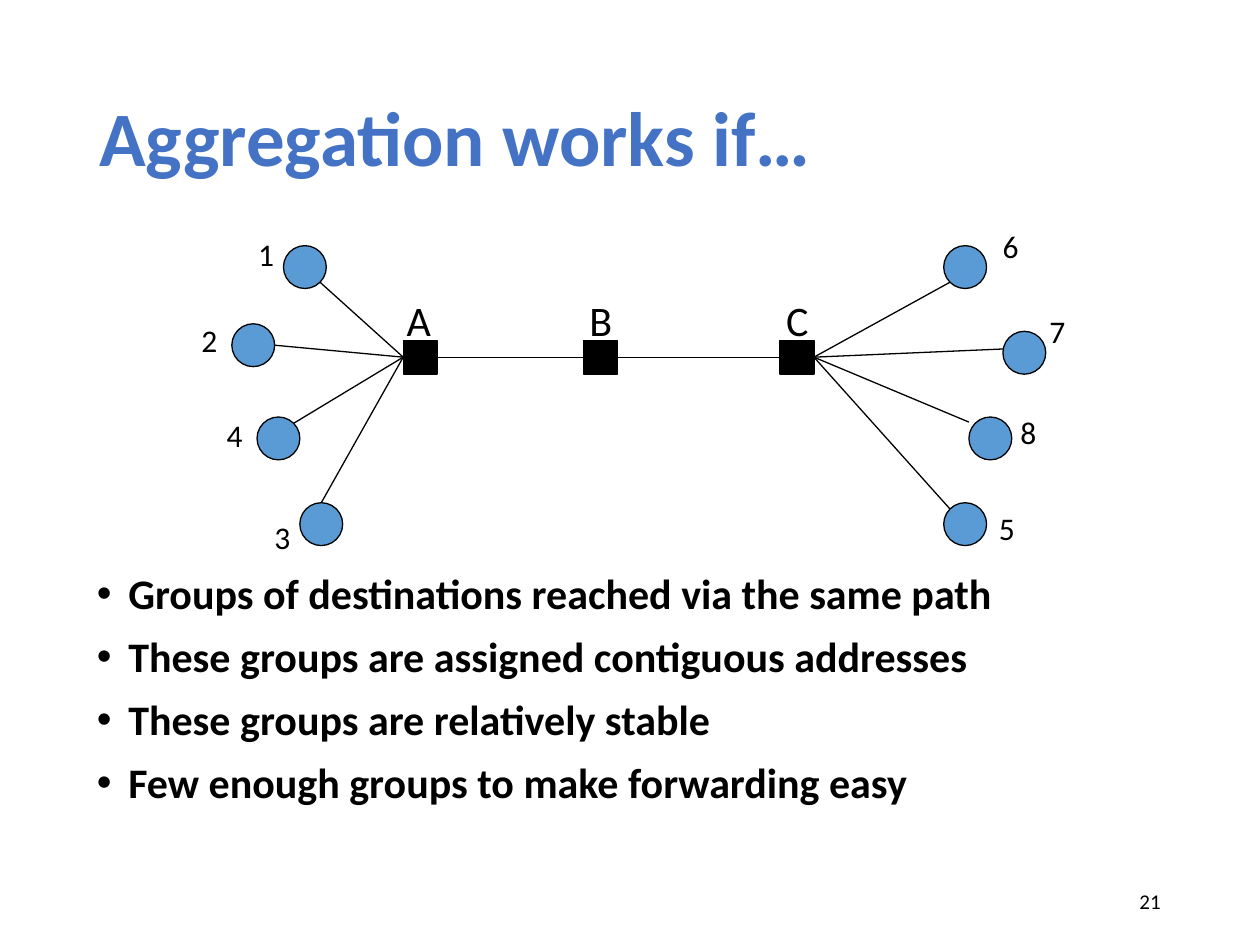
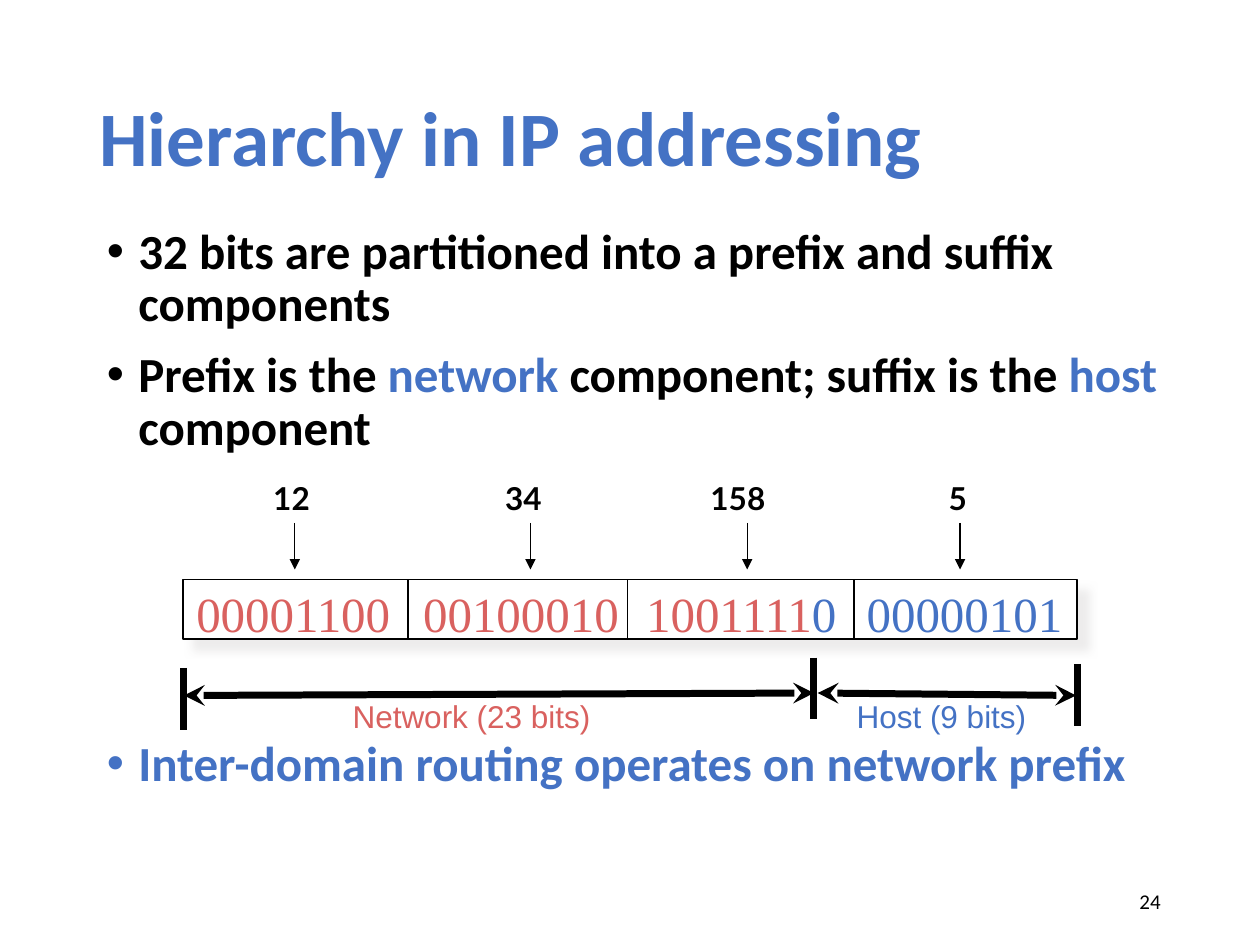
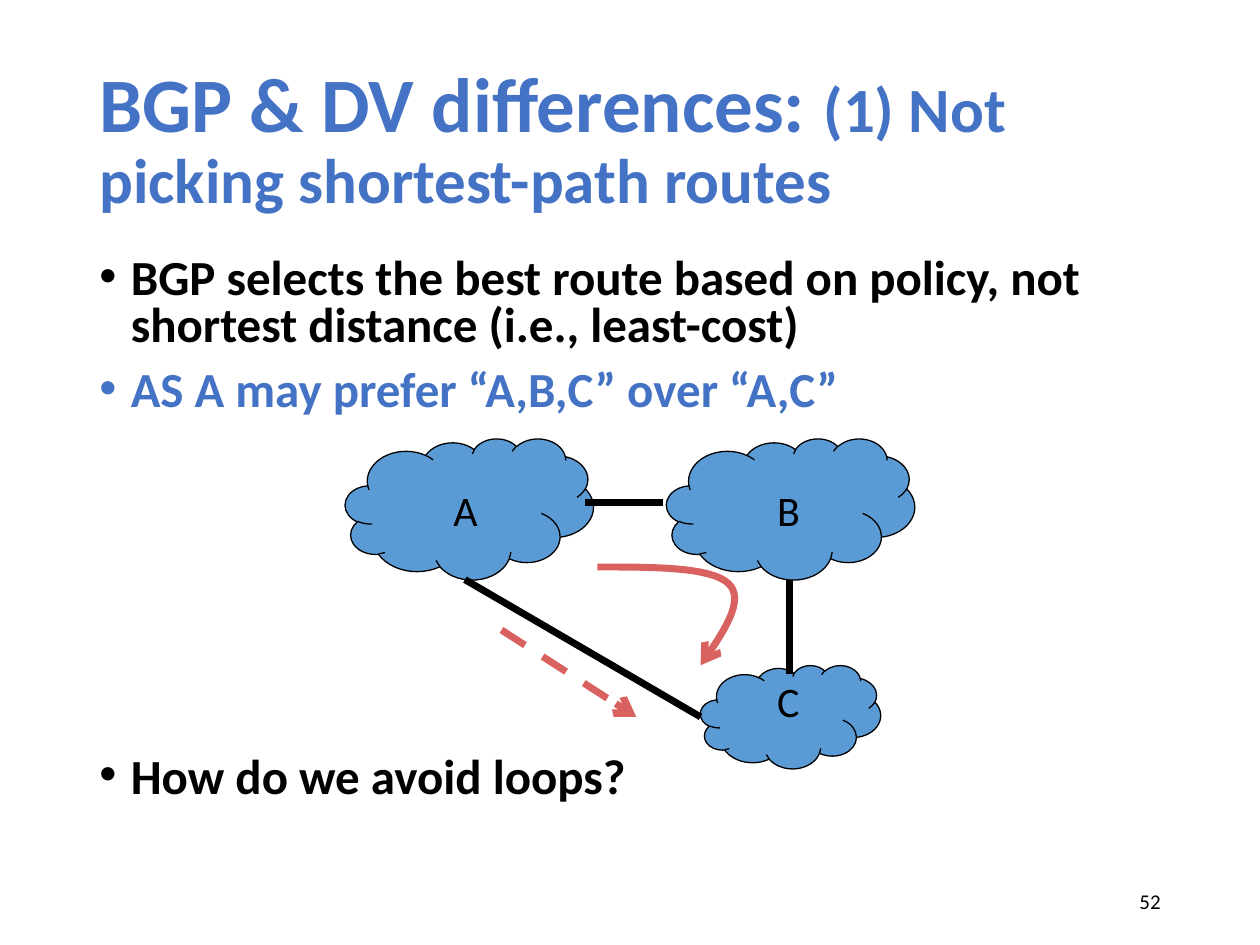
from dataclasses import dataclass

from lxml import etree
from pptx import Presentation
from pptx import util as u
from pptx.dml.color import RGBColor
from pptx.enum import dml, shapes, text
from pptx.oxml.ns import qn

BLACK = RGBColor(0x00, 0x00, 0x00)
WHITE = RGBColor(0xFF, 0xFF, 0xFF)
BLUE = RGBColor(0x44, 0x72, 0xC4)
NODE_BLUE = RGBColor(0x5B, 0x9B, 0xD5)
RED = RGBColor(0xD9, 0x61, 0x5F)

TITLE = {"name": "Calibri", "size": u.Pt(44), "bold": True}
SUBTITLE = {**TITLE, "size": u.Pt(36)}
BULLET = {"name": "Calibri", "size": u.Pt(28), "bold": True}
SMALL_BULLET = {**BULLET, "size": u.Pt(24)}
NUMBER = {"name": "Calibri", "size": u.Pt(12)}
NODE_LABEL = {"name": "Calibri", "size": u.Pt(18)}
ROUTER_LABEL = {"name": "Calibri", "size": u.Pt(24)}
BITS = {"name": "Times New Roman", "size": u.Pt(28)}
OCTET = {"name": "Lato", "size": u.Pt(18), "bold": True}
SPAN_LABEL = {"name": "Arial", "size": u.Pt(18)}

THIN, THICK = 0.75, 4


@dataclass
class Box:
    """A region in inches; point() turns local places into slide places."""
    left: float
    top: float
    width: float
    height: float

    def point(self, x, y):
        return u.Inches(self.left + x), u.Inches(self.top + y)

    def inner(self, x, y, width, height):
        return Box(self.left + x, self.top + y, width, height)

    def frame(self):
        return [u.Inches(v) for v in (self.left, self.top, self.width, self.height)]


# ---- Shared building blocks ----

def add_spans(para, spans, style):
    """Each span is (text, colour) or (text, colour, style)."""
    for words, color, *own_style in spans:
        span = para.add_run()
        span.text = words
        for key, value in (own_style[0] if own_style else style).items():
            setattr(span.font, key, value)
        span.font.color.rgb = color


def add_text(page, box, spans, style, **layout):
    frame = page.shapes.add_textbox(*box.frame()).text_frame
    for key, value in {"word_wrap": True, **layout}.items():
        setattr(frame, key, value)
    add_spans(frame.paragraphs[0], spans, style)
    return frame.paragraphs[0]


def add_label(page, box, spans, style):
    add_text(page, box, spans, style, word_wrap=False,
             auto_size=text.MSO_AUTO_SIZE.SHAPE_TO_FIT_TEXT)


def add_title(page, spans):
    para = add_text(page, Box(0.69, 0.4, 8.62, 1.45), spans, TITLE,
                    vertical_anchor=text.MSO_ANCHOR.MIDDLE)
    para.line_spacing = 0.9


def add_page_number(page, number):
    para = add_text(page, Box(7.06, 6.95, 2.25, 0.4), [(str(number), BLACK)],
                    NUMBER, vertical_anchor=text.MSO_ANCHOR.MIDDLE)
    para.alignment = text.PP_ALIGN.RIGHT


def add_bullets(page, box, bullets, style, line_spacing=0.9):
    """Each bullet is (space before in points, spans)."""
    frame = page.shapes.add_textbox(*box.frame()).text_frame
    frame.word_wrap = True
    for index, (gap, spans) in enumerate(bullets):
        para = frame.add_paragraph() if index else frame.paragraphs[0]
        para.line_spacing = line_spacing
        para.space_before = u.Pt(gap)
        props = para._p.get_or_add_pPr()
        props.set("marL", str(u.Inches(0.25)))
        props.set("indent", str(u.Inches(-0.25)))
        etree.SubElement(props, qn("a:buFont"), typeface="Arial")
        etree.SubElement(props, qn("a:buChar"), char="•")
        add_spans(para, spans, style)


def add_figure(page, kind, box, fill, line_width=THIN):
    figure = page.shapes.add_shape(kind, *box.frame())
    figure.shadow.inherit = False
    figure.fill.solid()
    figure.fill.fore_color.rgb = fill
    style_line(figure, BLACK, line_width)
    return figure


def style_line(item, color, width, dash=None, head=None, tail=None):
    item.line.color.rgb = color
    item.line.width = u.Pt(width)
    if dash:
        item.line.dash_style = dash
    for tag, kind in (("a:headEnd", head), ("a:tailEnd", tail)):
        if kind:
            etree.SubElement(item._element.spPr.find(qn("a:ln")), qn(tag), type=kind)


def add_line(page, start, end, color=BLACK, width=THIN, **ends):
    line = page.shapes.add_connector(shapes.MSO_CONNECTOR.STRAIGHT, *start, *end)
    style_line(line, color, width, **ends)
    etree.SubElement(line._element.spPr, qn("a:effectLst"))
    return line


# ---- Slide regions ----

def draw_network(page, box):
    # Routers in a row
    side, row = 0.27, 0.95
    routers = []
    for x in (1.7, 3.13, 4.69):
        routers.append(add_figure(page, shapes.MSO_SHAPE.RECTANGLE,
                                  box.inner(x, row, side, side), BLACK))
    for first, second in zip(routers, routers[1:]):
        line = add_line(page, (0, 0), (0, 0))
        line.begin_connect(first, 3)
        line.end_connect(second, 1)

    # Hosts: name, place, offset of the line end from the centre, label place
    size = 0.34
    left_hosts = [
        ("1", 0.75, 0.2, 0.12, 0.12, 0.45, 0.07),
        ("2", 0.34, 0.82, 0.17, 0, 0, 0.75),
        ("4", 0.54, 1.56, 0.12, -0.12, 0.2, 1.5),
        ("3", 0.88, 2.24, 0, -0.17, 0.58, 2.31),
    ]
    right_hosts = [
        ("6", 5.99, 0.2, -0.12, 0.12, 6.36, 0),
        ("7", 6.46, 0.88, -0.17, -0.03, 6.73, 0.68),
        ("8", 6.19, 1.56, -0.17, -0.13, 6.5, 1.48),
        ("5", 5.99, 2.24, -0.12, -0.12, 6.33, 2.24),
    ]
    for router, site, hosts in ((routers[0], 1, left_hosts),
                                (routers[-1], 3, right_hosts)):
        for name, x, y, dx, dy, label_x, label_y in hosts:
            add_figure(page, shapes.MSO_SHAPE.OVAL,
                       box.inner(x, y, size, size), NODE_BLUE)
            edge = box.point(x + size / 2 + dx, y + size / 2 + dy)
            add_line(page, edge, edge).end_connect(router, site)
            add_label(page, box.inner(label_x, label_y, 0.3, 0.36),
                      [(name, BLACK)], NODE_LABEL)

    for name, x in (("A", 1.63), ("B", 3.08), ("C", 4.64)):
        add_label(page, box.inner(x, 0.54, 0.34, 0.41), [(name, BLACK)], ROUTER_LABEL)


def draw_address(page, box):
    # Bar with a soft shadow, split into four octets
    bar_top, bar_height = 0.85, 0.47
    bar = add_figure(page, shapes.MSO_SHAPE.RECTANGLE,
                     box.inner(0, bar_top, box.width, bar_height), WHITE, 1)
    effects = bar._element.spPr.find(qn("a:effectLst"))
    shadow = etree.SubElement(effects, qn("a:outerShdw"), blurRad=str(u.Pt(5)),
                              dist=str(u.Pt(8.5)), dir="2700000")
    tint = etree.SubElement(shadow, qn("a:srgbClr"), val="E7E6E6")
    etree.SubElement(tint, qn("a:alpha"), val="75000")
    for x in (1.79, 3.53, 5.33):
        add_line(page, box.point(x, bar_top), box.point(x, bar_top + bar_height), width=1)

    # Octets: bits, their place and width, decimal, its place and width, arrow
    octets = [
        ([("00001100", RED)], 0.01, 1.76, "12", 0.62, 0.52, 0.89),
        ([("00100010", RED)], 1.81, 1.77, "34", 2.46, 0.52, 2.76),
        ([("1001111", RED), ("0", BLUE)], 3.58, 1.73, "158", 4.09, 0.68, 4.48),
        ([("00000101", BLUE)], 5.33, 1.77, "5", 5.98, 0.36, 6.17),
    ]
    for bits, x, width, decimal, decimal_x, decimal_width, arrow_x in octets:
        add_label(page, box.inner(x, 0.83, width, 0.57), bits, BITS)
        add_line(page, box.point(arrow_x, 0.4), box.point(arrow_x, 0.77), tail="triangle")
        add_label(page, box.inner(decimal_x, 0, decimal_width, 0.4),
                  [(decimal, BLACK)], OCTET)

    # Spans below the bar
    for x, y in ((0.01, 1.55), (5.01, 1.47), (7.1, 1.52)):
        add_line(page, box.point(x, y), box.point(x, y + 0.49), width=THICK)
    for start, end in (((5.01, 1.75), (0.01, 1.77)), ((5.04, 1.75), (7.09, 1.77))):
        add_line(page, box.point(*start), box.point(*end), width=THICK,
                 head="stealth", tail="stealth")
    for words, color, x, width in (("Network (23 bits)", RED, 1.25, 2.17),
                                   ("Host (9 bits)", BLUE, 5.25, 1.63)):
        add_label(page, box.inner(x, 1.73, width, 0.4), [(words, color)], SPAN_LABEL)


def bezier(points, steps=16):
    """Points along a cubic curve, without its start."""
    for step in range(1, steps + 1):
        t = step / steps
        weights = ((1 - t) ** 3, 3 * t * (1 - t) ** 2, 3 * t * t * (1 - t), t ** 3)
        yield tuple(sum(w * p[axis] for w, p in zip(weights, points)) for axis in (0, 1))


def draw_clouds(page, box):
    # Preferred route (solid) and shortest route (dashed)
    start, bend, end = (2, 1.02), (3.04, 1.15), (2.82, 1.8)
    curve = [*bezier([start, (2.45, 1.02), (2.9, 1.02), bend]),
             *bezier([bend, (3.18, 1.28), (3, 1.54), end])]
    builder = page.shapes.build_freeform(*box.point(*start))
    builder.add_line_segments([box.point(*place) for place in curve], close=False)
    route = builder.convert_to_shape()
    route.shadow.inherit = False
    route.fill.background()
    style_line(route, RED, THICK, tail="arrow")
    add_line(page, box.point(1.24, 1.52), box.point(2.31, 2.21), RED, THICK,
             dash=dml.MSO_LINE.DASH, tail="arrow")

    # Autonomous systems and their links
    for x, y, width, height in ((2.82, 1.8, 1.43, 0.82), (2.55, 0, 1.97, 1.12),
                                (0, 0, 1.97, 1.12)):
        add_figure(page, shapes.MSO_SHAPE.CLOUD, box.inner(x, y, width, height), NODE_BLUE)
    for begin, finish in (((1.9, 0.51), (2.52, 0.51)), ((0.95, 1.12), (2.82, 2.21)),
                          ((3.53, 1.12), (3.53, 1.87))):
        add_line(page, box.point(*begin), box.point(*finish), width=THICK)
    for name, x, y in (("A", 0.76, 0.32), ("B", 3.33, 0.32), ("C", 3.33, 1.83)):
        add_label(page, box.inner(x, y, 0.38, 0.5), [(name, BLACK)], ROUTER_LABEL)


# ---- Slides ----

def build_aggregation(page):
    add_title(page, [("Aggregation works if…", BLUE)])
    lines = ["Groups of destinations reached via the same path",
             "These groups are assigned contiguous addresses",
             "These groups are relatively stable",
             "Few enough groups to make forwarding easy"]
    add_bullets(page, Box(0.67, 4.5, 8.67, 2.09),
                [(10 if index else 0, [(line, BLACK)]) for index, line in enumerate(lines)],
                SMALL_BULLET)
    draw_network(page, Box(1.5, 1.75, 7.06, 2.68))
    add_page_number(page, 21)


def build_hierarchy(page):
    add_title(page, [("Hierarchy in IP addressing", BLUE)])
    add_bullets(page, Box(0.75, 1.75, 8.92, 4.83), [
        (0, [("32 bits are partitioned into a prefix and suffix components", BLACK)]),
        (10, [("Prefix is the ", BLACK), ("network ", BLUE),
              ("component; suffix is the ", BLACK), ("host ", BLUE),
              ("component", BLACK)]),
        (162, [("Inter-domain routing operates on network prefix", BLUE)]),
    ], BULLET)
    draw_address(page, Box(1.45, 3.75, 7.1, 2.13))
    add_page_number(page, 24)


def build_differences(page):
    add_title(page, [("BGP & DV differences: ", BLUE),
                     ("(1) Not picking shortest-path routes", BLUE, SUBTITLE)])
    add_bullets(page, Box(0.69, 2, 8.62, 4.76), [
        (0, [("BGP selects the best route based on policy, not shortest distance "
              "(i.e., least-cost)", BLACK)]),
        (10, [("AS A may prefer “A,B,C” over “A,C”", BLUE)]),
        (194, [("How do we avoid loops?", BLACK)]),
    ], BULLET, line_spacing=0.8)
    draw_clouds(page, Box(2.74, 3.48, 4.52, 2.62))
    add_page_number(page, 52)


def main():
    deck = Presentation()
    deck.slide_width, deck.slide_height = u.Inches(10), u.Inches(7.5)
    for build in (build_aggregation, build_hierarchy, build_differences):
        build(deck.slides.add_slide(deck.slide_layouts[6]))
    deck.save("out.pptx")


if __name__ == "__main__":
    main()
